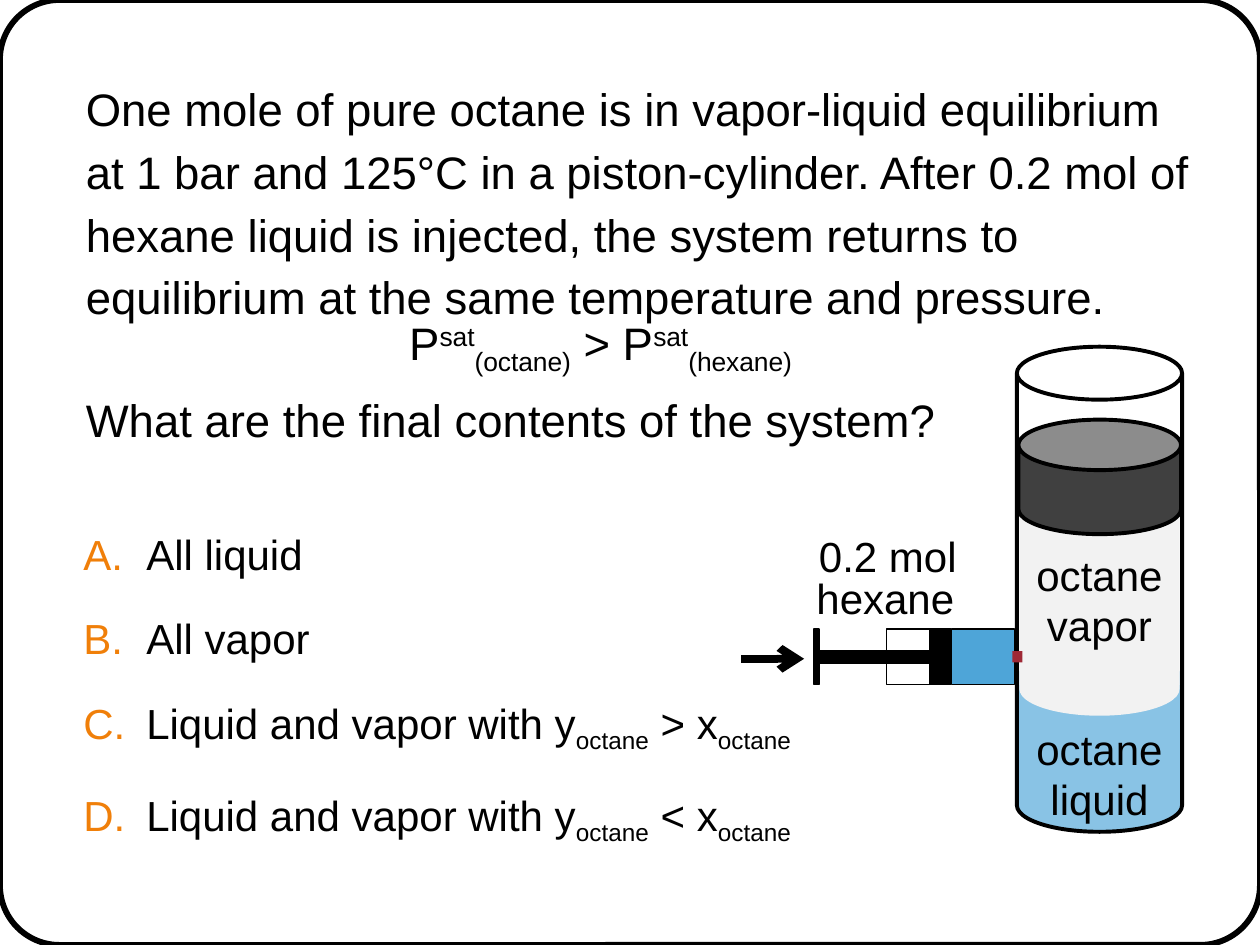
import pptx
import pptx.dml.color
import pptx.enum.shapes
import pptx.enum.text
import pptx.oxml.ns
import pptx.util
from lxml import etree

Cm = pptx.util.Cm
Pt = pptx.util.Pt
SHAPE = pptx.enum.shapes.MSO_SHAPE
ALIGN = pptx.enum.text.PP_ALIGN
qn = pptx.oxml.ns.qn

COLOURS = {
    "ink": "000000", "paper": "FFFFFF", "letter": "F07F09",
    "liquid": "89C3E5", "vapor": "F2F2F2", "piston": "404040",
    "hexane": "4EA5D8", "port": "9F2936",
}
FONT = "Arial"
SUPER, SUB = 30, -25


def colour(name):
    return pptx.dml.color.RGBColor.from_string(COLOURS[name])


def add_part(page, kind, left, top, width, height, fill=None, line=None, adjust=None):
    """Add a preset shape; line is a width in points, always in ink."""
    part = page.shapes.add_shape(kind, Cm(left), Cm(top), Cm(width), Cm(height))
    part.shadow.inherit = False
    if adjust is not None:
        part.adjustments[0] = adjust
    if fill:
        part.fill.solid()
        part.fill.fore_color.rgb = colour(fill)
    else:
        part.fill.background()
    if line:
        part.line.color.rgb = colour("ink")
        part.line.width = Pt(line)
    else:
        part.line.fill.background()
    return part


def add_text(page, left, top, width, height, lines, size, align=ALIGN.LEFT,
             wrap=False, style=None):
    """Each line is a list of (text, baseline percent) spans; style adjusts a paragraph."""
    box = page.shapes.add_textbox(Cm(left), Cm(top), Cm(width), Cm(height))
    frame = box.text_frame
    frame.word_wrap = wrap
    if wrap:
        frame.margin_left = frame.margin_right = 0
        frame.margin_top = frame.margin_bottom = 0
    for index, spans in enumerate(lines):
        para = frame.paragraphs[0] if index == 0 else frame.add_paragraph()
        para.alignment = align
        if style:
            style(para, index)
        para.font.name = FONT
        para.font.size = Pt(size)
        para.font.color.rgb = colour("ink")
        for text, baseline in spans:
            span = para.add_run()
            span.text = text
            if baseline:
                span.font._element.set("baseline", str(baseline * 1000))


def plain(*lines):
    return [[(line, 0)] for line in lines]


def add_question(page, left, top, width, height):
    def spread(para, index):
        para.line_spacing = 1.15
        if index:
            para.space_before = Pt(34.4)  # leaves one line for the formula

    add_text(page, left, top, width, height, plain(
        "One mole of pure octane is in vapor-liquid equilibrium at 1 bar and 125°C "
        "in a piston-cylinder. After 0.2 mol of hexane liquid is injected, the system "
        "returns to equilibrium at the same temperature and pressure.",
        "What are the final contents of the system?"), 26, wrap=True, style=spread)
    formula = [("P", 0), ("sat", SUPER), ("(octane)", SUB),
               (" > P", 0), ("sat", SUPER), ("(hexane)", SUB)]
    add_text(page, left + 6.27, top + 4.75, 9.4, 1.37, [formula], 26)


def add_answers(page, left, top, width, height):
    def letter(para, index):
        para.line_spacing = 1.05
        para.space_after = Pt(18)
        properties = para._p.get_or_add_pPr()
        properties.set("marL", str(Cm(1.27)))
        properties.set("indent", str(-Cm(1.27)))
        tint = etree.SubElement(properties, qn("a:buClr"))
        etree.SubElement(tint, qn("a:srgbClr"), val=COLOURS["letter"])
        etree.SubElement(properties, qn("a:buFont"), typeface=FONT)
        etree.SubElement(properties, qn("a:buAutoNum"), type="alphaUcPeriod")

    mixtures = [[("Liquid and vapor with y", 0), ("octane", SUB),
                 (f" {sign} x", 0), ("octane", SUB)] for sign in "><"]
    add_text(page, left, top, width, height,
             plain("All liquid", "All vapor") + mixtures, 24, wrap=True, style=letter)


def add_cylinder(page, left, top, width, height):
    can = SHAPE.CAN
    add_part(page, can, left, top + 6.12, width, height - 6.12, "liquid", adjust=0.334)
    add_part(page, can, left + 0.05, top + 2.21, width - 0.1, 5.23, "vapor", adjust=0.334)
    add_part(page, can, left, top, width, height, line=2.25, adjust=0.321)
    add_part(page, can, left + 0.03, top + 1.47, width - 0.05, 2.31, "piston", 2.25, 0.441)
    for phase, drop in (("vapor", 3.96), ("liquid", 7.47)):
        add_text(page, left + 0.13, top + drop, width - 0.26, 2.31,
                 plain("octane", phase), 24, ALIGN.CENTER)


def add_syringe(page, left, top):
    middle = top + 2.67
    parts = [  # offset, width, height, fill, line
        (4.24, 1.27, 1.12, "hexane", 0.75),
        (2.93, 1.3, 1.12, "paper", 0.75),
        (3.81, 0.41, 1.12, "ink", 0.75),
        (1.56, 2.26, 0.25, "ink", 0.75),
        (1.47, 0.1, 1.12, "ink", 0.75),
        (5.47, 0.2, 0.23, "port", None),
    ]
    for offset, width, height, fill, line in parts:
        add_part(page, SHAPE.RECTANGLE, left + offset, middle - height / 2,
                 width, height, fill, line)
    push = page.shapes.add_connector(
        pptx.enum.shapes.MSO_CONNECTOR.STRAIGHT,
        Cm(left), Cm(middle + 0.04), Cm(left + 1.27), Cm(middle + 0.04))
    push.line.color.rgb = colour("ink")
    push.line.width = Pt(4.5)
    etree.SubElement(push.line._get_or_add_ln(), qn("a:tailEnd"), type="arrow")
    etree.SubElement(push._element.spPr, qn("a:effectLst"))
    add_text(page, left + 1.32, top, 3.33, 1.27, plain("0.2 mol"), 24)
    add_text(page, left + 1.27, top + 0.84, 3.33, 1.27, plain("hexane"), 24)


def main():
    deck = pptx.Presentation()
    deck.slide_width, deck.slide_height = Cm(25.4), Cm(19.05)
    page = deck.slides.add_slide(deck.slide_layouts[6])
    add_part(page, SHAPE.ROUNDED_RECTANGLE, 0, 0, 25.4, 19.05, line=3.35, adjust=0.063)
    add_question(page, 1.73, 1.47, 22.33, 8.76)
    add_answers(page, 1.68, 10.6, 18.59, 7.29)
    add_cylinder(page, 20.5, 6.99, 3.33, 9.78)
    add_syringe(page, 14.94, 10.57)
    deck.save("out.pptx")


if __name__ == "__main__":
    main()
